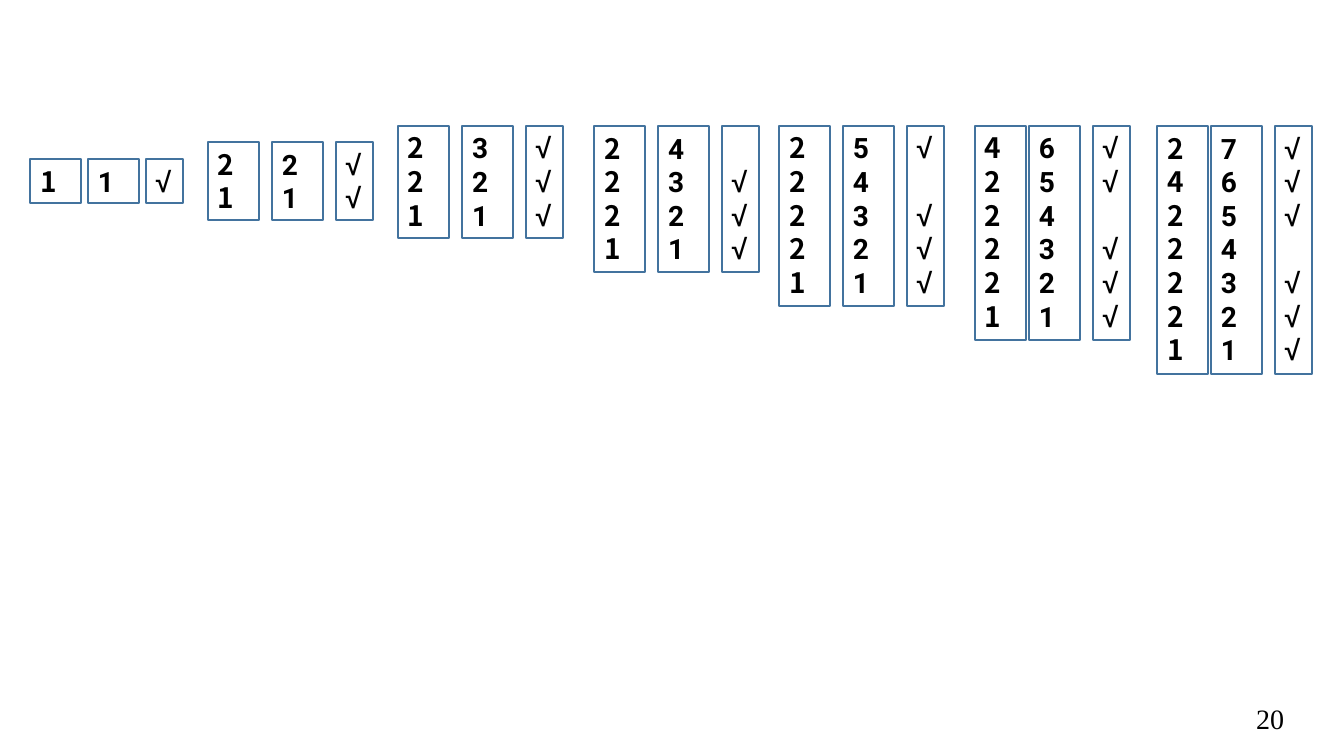
from pptx import Presentation
from pptx.dml.color import RGBColor
from pptx.enum.shapes import MSO_SHAPE as Shape
from pptx.enum.text import MSO_ANCHOR as Anchor, MSO_AUTO_SIZE as Auto, PP_ALIGN as Align
from pptx.util import Pt

# Content: left edge, gap after the first and second box, counts from top to bottom
STEPS = [
    (30, 7, 7, "1"),
    (208, 13, 13, "21"),
    (398, 13, 13, "221"),
    (594, 13, 13, "2221"),
    (779, 13, 13, "22221"),
    (975, 3, 13, "422221"),
    (1157, 3, 13, "2422221"),
]
UNMARKED = 4  # the number that gets no check
PAGE = "20"

# Measures in px, text in points
SCALE = 914400 / 100.8
WIDE, SLIM = 51, 37
ROW, PAD, SIDE = 34, 5, 10
SIZE, PITCH = 20, 24


def px(n):
    return round(n * SCALE)


def color(code):
    return RGBColor.from_string(code)


def style(para, font, bold):
    for run in para.runs:
        run.font.name = font
        run.font.size = Pt(SIZE)
        run.font.bold = bold
        run.font.color.rgb = color("000000")


def add_box(left, width, rows, font):
    """Draw a column box; None in rows leaves that row free."""
    count = len(rows)
    top = max(126, 176 - 17 * count)
    box = slide.shapes.add_shape(
        Shape.RECTANGLE, px(left), px(top), px(width), px(ROW * count + 2 * PAD))
    box.shadow.inherit = False
    box.fill.background()
    box.line.color.rgb = color("43739E")
    box.line.width = Pt(1)

    frame = box.text_frame
    frame.word_wrap = True
    frame.auto_size = Auto.SHAPE_TO_FIT_TEXT
    frame.vertical_anchor = Anchor.TOP
    frame.margin_left = frame.margin_right = px(SIDE)
    frame.margin_top = frame.margin_bottom = px(PAD)
    frame.text = "\n".join(row for row in rows if row)

    # A free row becomes a top margin or space before the next paragraph
    spots = [i for i, row in enumerate(rows) if row]
    frame.margin_top += Pt(PITCH * spots[0])
    for para, last, spot in zip(frame.paragraphs, [spots[0] - 1] + spots, spots):
        para.alignment = Align.LEFT
        para.line_spacing = Pt(PITCH)
        para.space_before = Pt(PITCH * (spot - last - 1))
        style(para, font, True)


deck = Presentation()
deck.slide_width, deck.slide_height = px(1344), px(756)
slide = deck.slides.add_slide(deck.slide_layouts[6])

# Steps: counts, numbers and checks
for left, gap, space, counts in STEPS:
    nums = range(len(counts), 0, -1)
    mid = left + WIDE + gap
    add_box(left, WIDE, list(counts), "Noto Sans CJK SC")
    add_box(mid, WIDE, [str(n) for n in nums], "Roboto")
    add_box(mid + WIDE + space, SLIM,
            [None if n == UNMARKED else "√" for n in nums], "Arial")

# Page number
page = slide.shapes.add_textbox(px(992), px(698), px(302), px(40)).text_frame
page.word_wrap = True
page.vertical_anchor = Anchor.MIDDLE
page.text = PAGE
page.paragraphs[0].alignment = Align.RIGHT
style(page.paragraphs[0], "Times New Roman", False)

deck.save("out.pptx")
